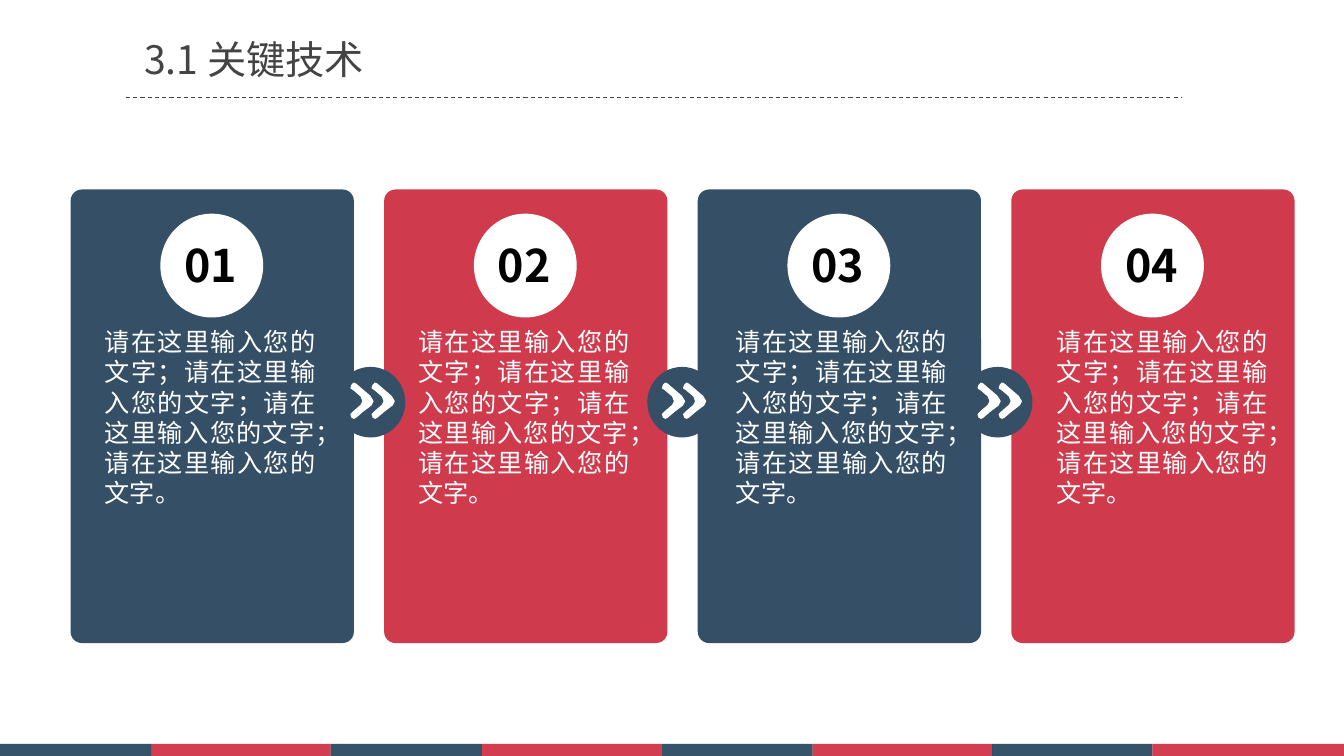
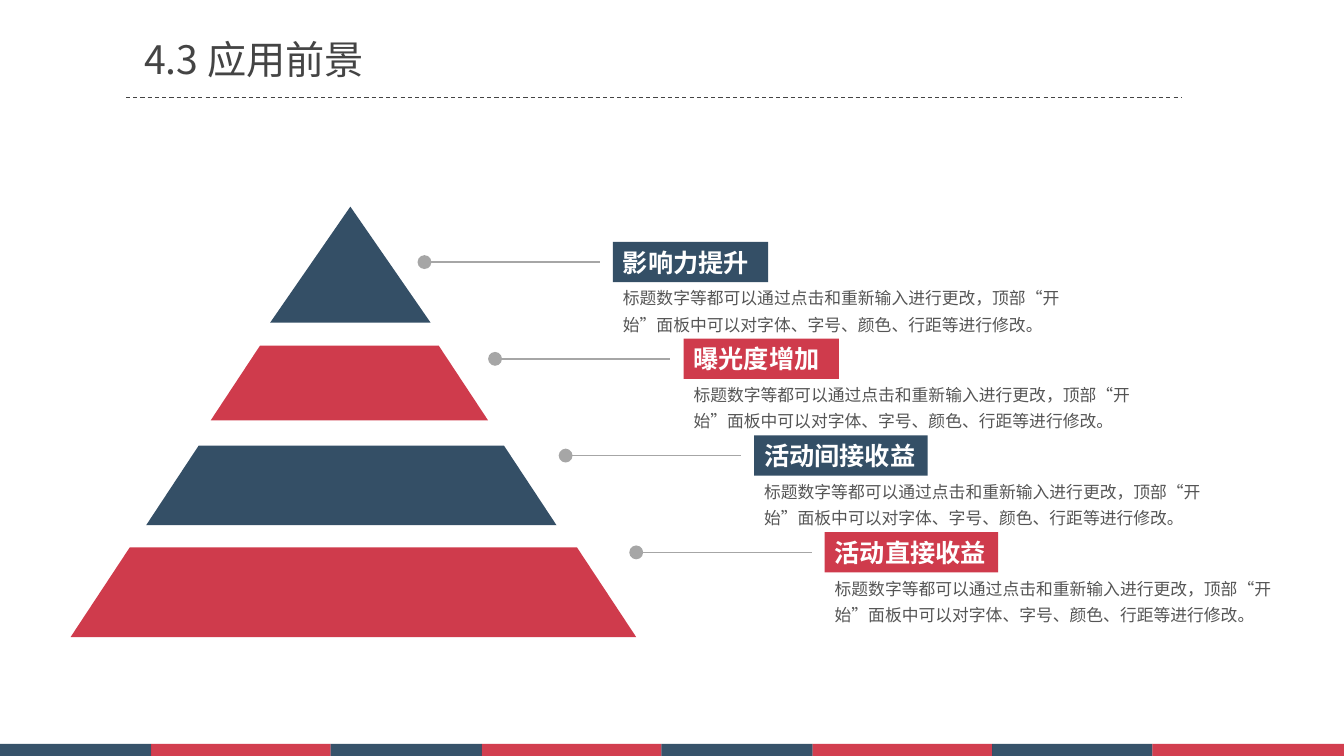
from dataclasses import dataclass
from itertools import cycle

from pptx import Presentation
from pptx.dml.color import RGBColor
from pptx.enum.dml import MSO_LINE_DASH_STYLE as Dash
from pptx.enum.shapes import MSO_CONNECTOR as Connector, MSO_SHAPE as Shape
from pptx.enum.text import MSO_ANCHOR as Anchor, MSO_AUTO_SIZE as AutoSize, PP_ALIGN as Align
from pptx.oxml.ns import qn
from pptx.oxml.xmlchemy import OxmlElement
from pptx.util import Inches, Pt

FONT = "Noto Sans CJK SC"
COLORS = {
    "navy": "344F66",
    "red": "CF3B4C",
    "band_navy": "062845",
    "band_red": "C70E23",
    "white": "FFFFFF",
    "black": "000000",
    "title": "444444",
    "body": "555555",
    "leader": "A6A6A6",
}
BAND_WIDTHS = [1.5, 1.78] * 3 + [1.59, 1.9]

CARD_TEXT = "请在这里输入您的文字；" * 3 + "请在这里输入您的文字。"
CARD_LEFT, CARD_PITCH = 0.7, 3.11
ARROW_LEFTS = (3.33, 6.42, 9.55)
CHEVRON = (
    (0.2, 0.23), (0.12, 0.29), (0.05, 0.35), (0.03, 0.36), (0.01, 0.35), (0, 0.32),
    (0.03, 0.29), (0.1, 0.23), (0.12, 0.19), (0.1, 0.14), (0.03, 0.08), (0, 0.06),
    (0.01, 0.03), (0.03, 0.01), (0.05, 0.02), (0.12, 0.08), (0.19, 0.14), (0.22, 0.19),
)

CALLOUT_TEXT = "标题数字等都可以通过点击和重新输入进行更改，顶部“开始”面板中可以对字体、字号、颜色、行距等进行修改。"
CALLOUT_STEP_X, CALLOUT_STEP_Y = 0.7, 0.96


@dataclass(frozen=True)
class Box:
    left: float
    top: float
    width: float
    height: float

    def lengths(self):
        return [Inches(v) for v in (self.left, self.top, self.width, self.height)]


@dataclass(frozen=True)
class TextStyle:
    size: float
    color: str
    bold: bool = False
    align: Align = Align.LEFT
    line_spacing: float = 1.0
    wrap: bool = True
    margins: tuple = (0.1, 0.05)


@dataclass(frozen=True)
class Card:
    number: str
    color: str
    text_left: float


@dataclass(frozen=True)
class Tier:
    label: str
    color: str
    box: Box
    tag_width: float


TITLE = TextStyle(28, "title", margins=(0, 0))
NUMBER = TextStyle(32, "black", bold=True, wrap=False)
CARD_BODY = TextStyle(18, "white", align=Align.JUSTIFY)
TAG = TextStyle(18, "white", bold=True, wrap=False)
CALLOUT_BODY = TextStyle(12, "body", line_spacing=1.3)

CARDS = (
    Card("01", "navy", 0.94),
    Card("02", "red", 4.05),
    Card("03", "navy", 7.2),
    Card("04", "red", 10.38),
)
TIERS = (
    Tier("影响力提升", "navy", Box(2.68, 2.05, 1.59, 1.15), 1.54),
    Tier("曝光度增加", "red", Box(2.09, 3.43, 2.75, 0.74), 1.54),
    Tier("活动间接收益", "navy", Box(1.45, 4.42, 4.07, 0.79), 1.72),
    Tier("活动直接收益", "red", Box(0.7, 5.43, 5.61, 0.89), 1.72),
)


def rgb(color: str) -> RGBColor:
    return RGBColor.from_string(COLORS[color])


def write_text(shape, text: str, style: TextStyle) -> None:
    frame = shape.text_frame
    frame.word_wrap = style.wrap
    frame.auto_size = AutoSize.SHAPE_TO_FIT_TEXT
    frame.vertical_anchor = Anchor.TOP
    frame.margin_left = frame.margin_right = Inches(style.margins[0])
    frame.margin_top = frame.margin_bottom = Inches(style.margins[1])
    paragraph = frame.paragraphs[0]
    paragraph.alignment = style.align
    paragraph.line_spacing = style.line_spacing
    run = paragraph.add_run()
    run.text = text
    run.font.name = FONT
    run.font.size = Pt(style.size)
    run.font.bold = style.bold
    run.font.color.rgb = rgb(style.color)
    properties = run.font._element
    properties.set("lang", "zh-CN")
    east_asian = OxmlElement("a:ea")
    east_asian.set("typeface", FONT)
    properties.find(qn("a:latin")).addnext(east_asian)


def add_text(slide, box: Box, text: str, style: TextStyle) -> None:
    write_text(slide.shapes.add_textbox(*box.lengths()), text, style)


def add_block(slide, kind: Shape, box: Box, color: str):
    """Add a filled preset shape without outline or shadow."""
    shape = slide.shapes.add_shape(kind, *box.lengths())
    shape.shadow.inherit = False
    shape.fill.solid()
    shape.fill.fore_color.rgb = rgb(color)
    shape.line.fill.background()
    return shape


def set_opacity(shape, percent: int) -> None:
    alpha = OxmlElement("a:alpha")
    alpha.set("val", str(percent * 1000))
    shape._element.spPr.find(qn("a:solidFill"))[0].append(alpha)


def add_horizontal(slide, left: float, right: float, y: float, color: str, width: float):
    line = slide.shapes.add_connector(
        Connector.STRAIGHT, Inches(left), Inches(y), Inches(right), Inches(y))
    line.line.color.rgb = rgb(color)
    line.line.width = Pt(width)
    line._element.spPr.append(OxmlElement("a:effectLst"))
    return line


def add_oval_head(connector) -> None:
    head = OxmlElement("a:headEnd")
    for name, value in (("type", "oval"), ("w", "lg"), ("len", "lg")):
        head.set(name, value)
    connector._element.spPr.find(qn("a:ln")).append(head)


def add_titled_slide(presentation, title: str):
    """Add a blank slide with the footer band, title and dashed rule."""
    slide = presentation.slides.add_slide(presentation.slide_layouts[6])
    left = 0.0
    for width, color in zip(BAND_WIDTHS, cycle(("band_navy", "band_red"))):
        band = add_block(slide, Shape.RECTANGLE, Box(left, 7.38, width, 0.12), color)
        set_opacity(band, 80)
        left += width
    rule = add_horizontal(slide, 1.25, 11.72, 0.97, "title", 0.75)
    rule.line.dash_style = Dash.DASH
    add_text(slide, Box(1.43, 0.35, 3.99, 0.47), title, TITLE)
    return slide


def add_chevron(slide, left: float, top: float) -> None:
    points = [(Inches(left + x), Inches(top + y)) for x, y in CHEVRON]
    builder = slide.shapes.build_freeform(*points[0])
    builder.add_line_segments(points[1:], close=True)
    chevron = builder.convert_to_shape()
    chevron.shadow.inherit = False
    chevron.fill.solid()
    chevron.fill.fore_color.rgb = rgb("white")
    chevron.line.color.rgb = rgb("white")
    chevron.line.width = Pt(0.75)


def add_arrow_badge(slide, left: float) -> None:
    add_block(slide, Shape.OVAL, Box(left, 3.64, 0.69, 0.7), "navy")
    for offset in (0.15, 0.36):
        add_chevron(slide, left + offset, 3.79)


def build_technology_slide(presentation) -> None:
    slide = add_titled_slide(presentation, "3.1 关键技术")
    lefts = [CARD_LEFT + CARD_PITCH * i for i in range(len(CARDS))]
    for left, card in zip(lefts, CARDS):
        panel = add_block(slide, Shape.ROUNDED_RECTANGLE, Box(left, 1.88, 2.81, 4.5), card.color)
        panel.adjustments[0] = 0.04
    for left in ARROW_LEFTS:
        add_arrow_badge(slide, left)
    for left, card in zip(lefts, CARDS):
        add_block(slide, Shape.OVAL, Box(left + 0.89, 2.12, 1.02, 1.03), "white")
        add_text(slide, Box(left + 1.03, 2.31, 0.76, 0.64), card.number, NUMBER)
        add_text(slide, Box(card.text_left, 3.19, 2.29, 1.92), CARD_TEXT, CARD_BODY)


def add_callout(slide, tier: Tier, left: float, y: float) -> None:
    """Add the leader line, coloured tag and explanation of one tier."""
    add_oval_head(add_horizontal(slide, left, left + 1.74, y, "leader", 1))
    tag_left = left + 1.87
    tag = add_block(slide, Shape.RECTANGLE, Box(tag_left, y - 0.2, tier.tag_width, 0.4), tier.color)
    write_text(tag, tier.label, TAG)
    add_text(slide, Box(tag_left, y + 0.15, 4.59, 0.6), CALLOUT_TEXT, CALLOUT_BODY)


def build_prospects_slide(presentation) -> None:
    slide = add_titled_slide(presentation, "4.3 应用前景")
    for index, tier in enumerate(TIERS):
        kind = Shape.TRAPEZOID if index else Shape.ISOSCELES_TRIANGLE
        block = add_block(slide, kind, tier.box, tier.color)
        if index:
            block.adjustments[0] = 0.66
    for index, tier in enumerate(TIERS):
        add_callout(slide, tier, 4.21 + CALLOUT_STEP_X * index, 2.6 + CALLOUT_STEP_Y * index)


def main() -> None:
    presentation = Presentation()
    presentation.slide_width = Inches(13.33)
    presentation.slide_height = Inches(7.5)
    build_technology_slide(presentation)
    build_prospects_slide(presentation)
    presentation.save("out.pptx")


if __name__ == "__main__":
    main()
